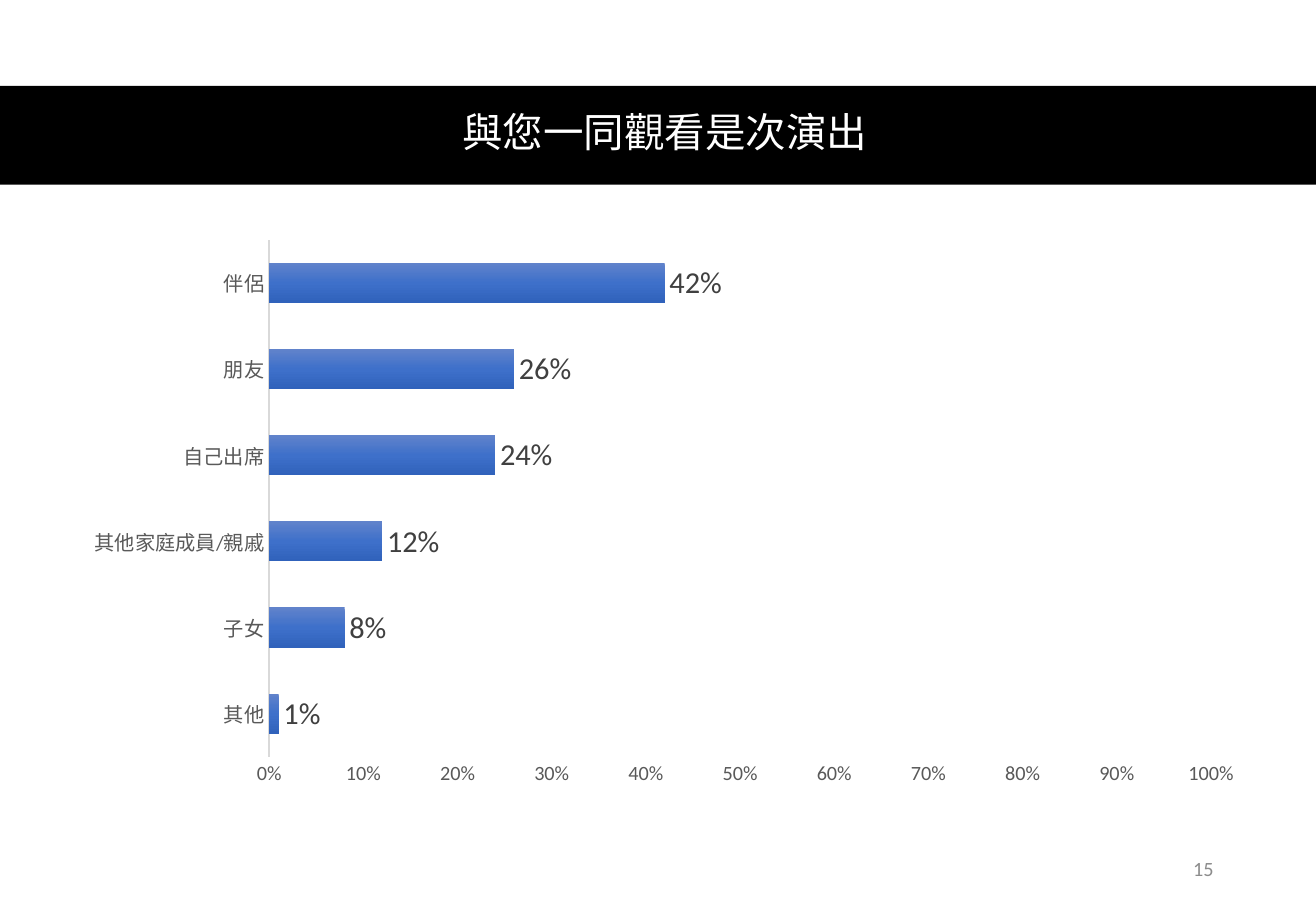
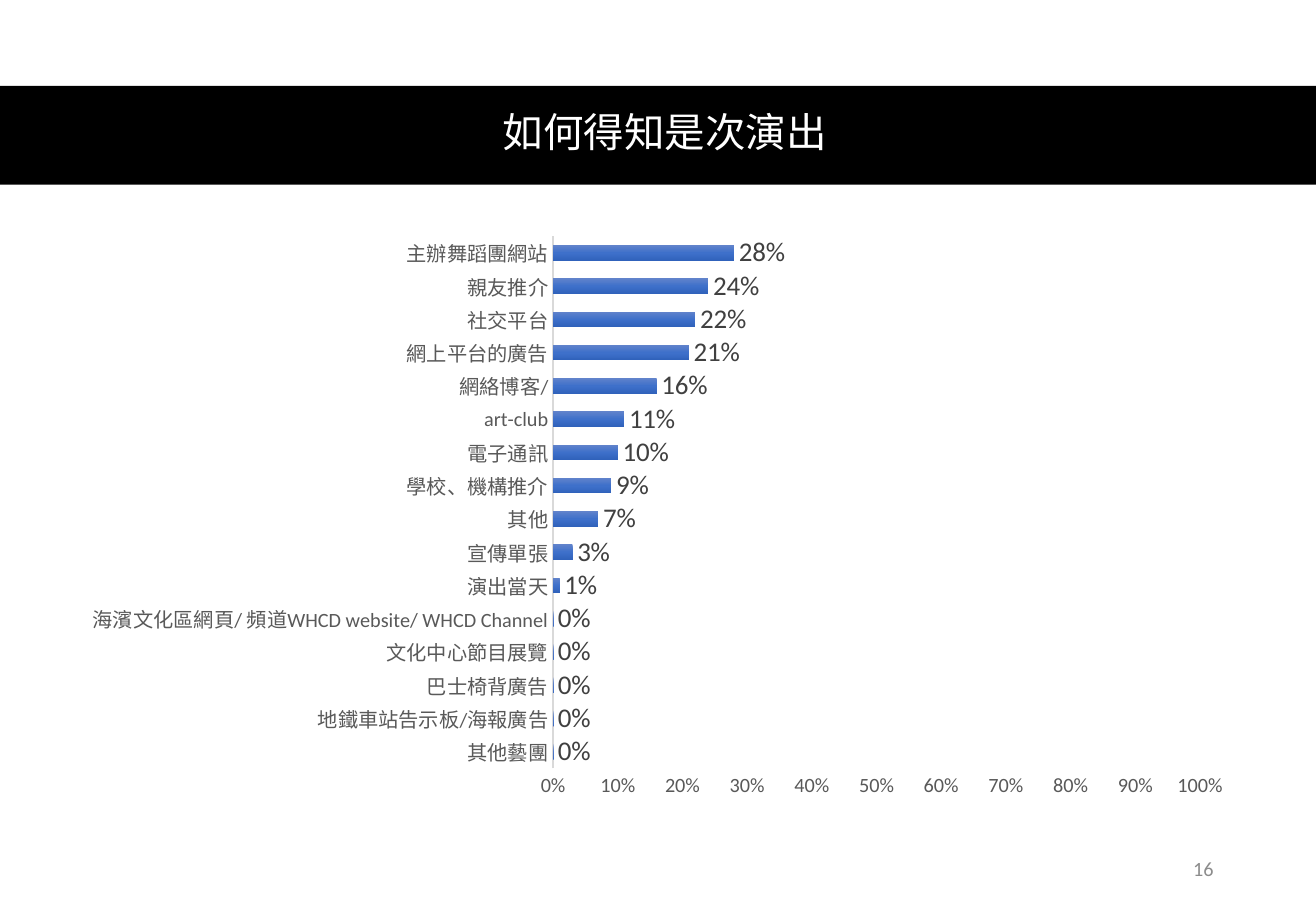
from dataclasses import dataclass

from lxml import etree
from pptx import Presentation
from pptx.chart.data import CategoryChartData
from pptx.dml.color import RGBColor
from pptx.enum.chart import XL_CHART_TYPE, XL_LABEL_POSITION, XL_TICK_MARK
from pptx.enum.shapes import MSO_SHAPE
from pptx.enum.text import MSO_ANCHOR, PP_ALIGN
from pptx.oxml import parse_xml
from pptx.oxml.ns import nsdecls, qn
from pptx.util import Pt

BAR = XL_CHART_TYPE.BAR_CLUSTERED
OUT = XL_LABEL_POSITION.OUTSIDE_END
NONE = XL_TICK_MARK.NONE
RECT = MSO_SHAPE.RECTANGLE
MID = MSO_ANCHOR.MIDDLE
CENTER, RIGHT = PP_ALIGN.CENTER, PP_ALIGN.RIGHT


@dataclass(frozen=True)
class Theme:
    band: str = "000000"
    title: str = "FFFFFF"
    axis: str = "595959"
    rule: str = "D9D9D9"
    label: str = "404040"
    page: str = "8C8C8C"
    bars: tuple = ((0, "6183CB"), (50, "3E70CA"), (100, "3062BB"))
    head: str = "Lato"
    body: str = "Calibri"
    big: int = 24
    small: int = 12


THEME = Theme()
SIZE = (780, 540)
BAND = (0, 51, 780, 58.5)
TITLE = (35.5, 50.4, 717, 58.3)
PAGE = (550.8, 500.4, 175.7, 28.8)

# Categories run from the bottom bar to the top one.
SLIDES = [
    dict(
        title="與您一同觀看是次演出",
        page=15,
        box=(41, 131.8, 697.7, 346.3),
        size=18,
        plot=(0.17, 0.03, 0.8, 0.885),
        data=[
            ("其他", 0.01),
            ("子女", 0.08),
            ("其他家庭成員/親戚", 0.12),
            ("自己出席", 0.24),
            ("朋友", 0.26),
            ("伴侶", 0.42),
        ],
    ),
    dict(
        title="如何得知是次演出",
        page=16,
        box=(41, 133.2, 697.7, 346.3),
        size=16,
        plot=None,
        data=[
            ("其他藝團", 0),
            ("地鐵車站告示板/海報廣告", 0),
            ("巴士椅背廣告", 0),
            ("文化中心節目展覽", 0),
            ("海濱文化區網頁/ 頻道WHCD website/ WHCD Channel", 0),
            ("演出當天", 0.01),
            ("宣傳單張", 0.03),
            ("其他", 0.07),
            ("學校、機構推介", 0.09),
            ("電子通訊", 0.1),
            ("art-club", 0.11),
            ("網絡博客/", 0.16),
            ("網上平台的廣告", 0.21),
            ("社交平台", 0.22),
            ("親友推介", 0.24),
            ("主辦舞蹈團網站", 0.28),
        ],
    ),
]


def points(box):
    return [Pt(n) for n in box]


def style(font, name, size, color):
    font.name = name
    font.size = Pt(size)
    font.color.rgb = RGBColor.from_string(color)


def add_text(slide, box, text, align, look):
    frame = slide.shapes.add_textbox(*points(box)).text_frame
    frame.word_wrap = True
    frame.vertical_anchor = MID
    frame.text = text
    para = frame.paragraphs[0]
    para.alignment = align
    style(para.runs[0].font, *look)
    return para


def add_head(slide, text):
    band = slide.shapes.add_shape(RECT, *points(BAND))
    band.shadow.inherit = False
    band.fill.solid()
    band.fill.fore_color.rgb = RGBColor.from_string(THEME.band)
    band.line.fill.background()
    para = add_text(slide, TITLE, text, CENTER, (THEME.head, THEME.big, THEME.title))
    para.line_spacing = 0.9


def shade(series):
    """Fill the bars with the theme's gradient, from top to bottom."""
    stops = "".join(
        f'<a:gs pos="{pos * 1000}"><a:srgbClr val="{color}"/></a:gs>'
        for pos, color in THEME.bars
    )
    grad = parse_xml(
        f'<a:gradFill {nsdecls("a")} rotWithShape="1"><a:gsLst>{stops}</a:gsLst>'
        '<a:lin ang="5400000" scaled="0"/></a:gradFill>'
    )
    series.format.line.fill.background()
    series._element.find(qn("c:spPr")).insert(0, grad)


def place(chart, plot):
    """Fix the inner plot area, given as fractions of the chart."""
    area = chart._chartSpace.find(".//" + qn("c:plotArea"))
    for old in area.findall(qn("c:layout")):
        area.remove(old)
    layout = etree.Element(qn("c:layout"))
    manual = etree.SubElement(layout, qn("c:manualLayout"))
    parts = [("layoutTarget", "inner"), ("xMode", "edge"), ("yMode", "edge")]
    for tag, val in parts + list(zip("xywh", plot)):
        etree.SubElement(manual, qn("c:" + tag)).set("val", str(val))
    area.insert(0, layout)


def set_axes(chart):
    cat, val = chart.category_axis, chart.value_axis
    for axis in (cat, val):
        axis.has_major_gridlines = False
        axis.major_tick_mark = axis.minor_tick_mark = NONE
        style(axis.tick_labels.font, THEME.body, THEME.small, THEME.axis)
    cat.format.line.color.rgb = RGBColor.from_string(THEME.rule)
    cat.format.line.width = Pt(1)
    val.format.line.fill.background()
    val.minimum_scale, val.maximum_scale, val.major_unit = 0, 1, 0.1
    val.tick_labels.number_format = "0%"
    val.tick_labels.number_format_is_linked = False


def add_bars(slide, box, data, size, plot):
    table = CategoryChartData(number_format="0%")
    names, vals = zip(*data)
    table.categories = names
    table.add_series("Series 1", vals)
    chart = slide.shapes.add_chart(BAR, *points(box), table).chart
    chart.has_title = chart.has_legend = False
    chart.font.name = THEME.body
    chart.font.size = Pt(10)
    set_axes(chart)
    bars = chart.plots[0]
    bars.vary_by_categories = False
    bars.gap_width, bars.overlap = 115, -20
    shade(bars.series[0])
    bars.has_data_labels = True
    labels = bars.data_labels
    labels.show_value = True
    labels.position = OUT
    labels.number_format = "0%"
    labels.number_format_is_linked = False
    style(labels.font, THEME.body, size, THEME.label)
    if plot:
        place(chart, plot)


def add_slide(deck, title, page, **chart):
    slide = deck.slides.add_slide(deck.slide_layouts[6])
    add_head(slide, title)
    add_bars(slide, **chart)
    add_text(slide, PAGE, str(page), RIGHT, (THEME.body, THEME.small, THEME.page))


def main():
    deck = Presentation()
    deck.slide_width, deck.slide_height = points(SIZE)
    for item in SLIDES:
        add_slide(deck, **item)
    deck.save("out.pptx")


if __name__ == "__main__":
    main()
